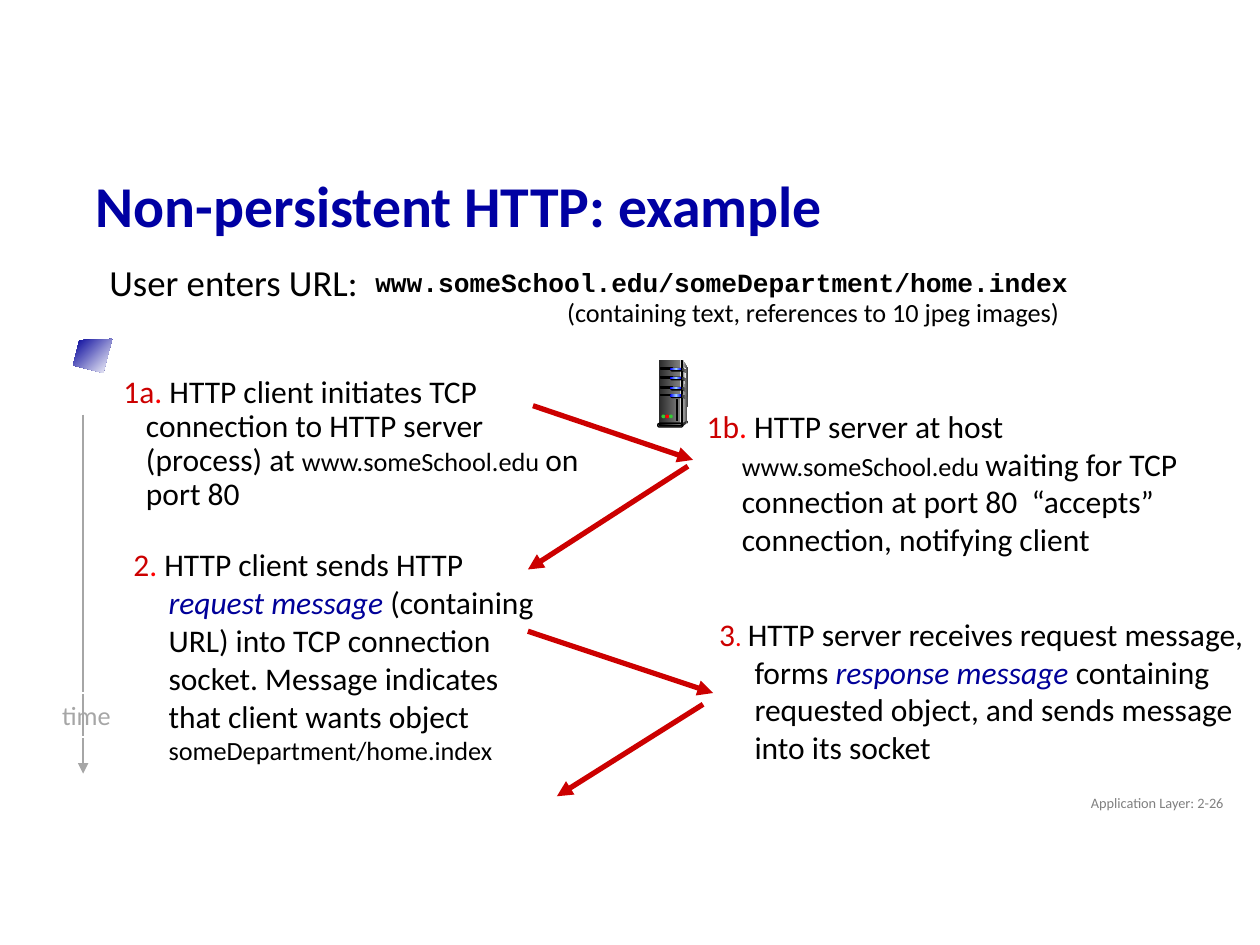
from dataclasses import dataclass
from lxml import etree
from pptx import Presentation, util as u
from pptx.dml.color import RGBColor
from pptx.enum import shapes, text
from pptx.oxml.ns import qn

NAVY = RGBColor(0x00, 0x00, 0xA3)
BLUE = RGBColor(0x00, 0x00, 0x99)
CRIMSON = RGBColor(0xCC, 0x00, 0x00)
RED = RGBColor(0xFF, 0x00, 0x00)
GREEN = RGBColor(0x33, 0xCC, 0x33)
BLACK = RGBColor(0x00, 0x00, 0x00)
WHITE = RGBColor(0xFF, 0xFF, 0xFF)
SILVER = RGBColor(0xA6, 0xA6, 0xA6)
GRAY = RGBColor(0x80, 0x80, 0x80)
COAL = RGBColor(0x29, 0x29, 0x29)
DARK = RGBColor(0x33, 0x33, 0x33)
PALE = RGBColor(0xDD, 0xDD, 0xDD)
SNOW = RGBColor(0xF8, 0xF8, 0xF8)
LAMP = RGBColor(0x00, 0x00, 0xFF)
SKY = RGBColor(0x99, 0xCC, 0xFF)

RECT = shapes.MSO_SHAPE.RECTANGLE
PILL = shapes.MSO_SHAPE.ROUNDED_RECTANGLE
DOT = shapes.MSO_SHAPE.OVAL
LEFT, MID, RIGHT = text.PP_ALIGN.LEFT, text.PP_ALIGN.CENTER, text.PP_ALIGN.RIGHT


@dataclass
class Span:
    words: str
    color: RGBColor | None = None
    size: float | None = None
    italic: bool | None = None


@dataclass
class Label:
    box: tuple
    spans: list[Span]
    size: float = 18
    color: RGBColor = BLACK
    font: str = "Calibri"
    bold: bool = False
    align: text.PP_ALIGN = LEFT
    margin: float = 0
    indent: float = 0
    lead: float | None = None
    middle: bool = False
    wrap: bool = True


@dataclass
class Arrow:
    start: tuple
    end: tuple
    color: RGBColor = CRIMSON
    width: float = 3


def write(shape, label: Label) -> None:
    frame = shape.text_frame
    frame.auto_size = text.MSO_AUTO_SIZE.NONE
    frame.word_wrap = label.wrap
    frame.vertical_anchor = text.MSO_ANCHOR.MIDDLE if label.middle else text.MSO_ANCHOR.TOP
    para = frame.paragraphs[0]
    para.alignment = label.align
    if label.lead:
        para.line_spacing = label.lead
    props = para._p.get_or_add_pPr()
    props.set("marL", str(u.Inches(label.margin)))
    props.set("indent", str(u.Inches(label.indent)))
    font = para.font
    font.name, font.size, font.bold = label.font, u.Pt(label.size), label.bold
    font.color.rgb = label.color
    for span in label.spans:
        run = para.add_run()
        run.text = span.words
        if span.color is not None:
            run.font.color.rgb = span.color
        if span.size:
            run.font.size = u.Pt(span.size)
        if span.italic:
            run.font.italic = True


def place(slide, label: Label) -> None:
    write(slide.shapes.add_textbox(*map(u.Inches, label.box)), label)


def point(slide, arrow: Arrow) -> None:
    ends = map(u.Inches, arrow.start + arrow.end)
    line = slide.shapes.add_connector(shapes.MSO_CONNECTOR.STRAIGHT, *ends)
    line.line.color.rgb = arrow.color
    line.line.width = u.Pt(arrow.width)
    props = line._element.spPr
    etree.SubElement(props.find(qn("a:ln")), qn("a:tailEnd"), type="triangle")
    etree.SubElement(props, qn("a:effectLst"))


def paint(shape, colors: list[RGBColor], edge: RGBColor | None = None, angle: float = 0) -> None:
    shape.shadow.inherit = False
    if not colors:
        shape.fill.background()
    elif len(colors) == 1:
        shape.fill.solid()
        shape.fill.fore_color.rgb = colors[0]
    else:
        shape.fill.gradient()
        shape.fill.gradient_angle = angle
        stops = shape._element.spPr.find(qn("a:gradFill")).find(qn("a:gsLst"))
        for stop in list(stops):
            stops.remove(stop)
        for i, color in enumerate(colors):
            stop = etree.SubElement(stops, qn("a:gs"), pos=str(100000 * i // (len(colors) - 1)))
            etree.SubElement(stop, qn("a:srgbClr"), val=str(color))
    if edge is None:
        shape.line.fill.background()
    else:
        shape.line.color.rgb = edge
        shape.line.width = u.Pt(0.75)


def block(pool, kind, box: tuple, colors: list[RGBColor], edge: RGBColor | None = None):
    shape = pool.add_shape(kind, *map(u.Inches, box))
    if kind == PILL:
        shape.adjustments[0] = 0.5
    paint(shape, colors, edge)
    return shape


def facet(pool, points: list[tuple], colors: list[RGBColor], angle: float = 0) -> None:
    spots = [(u.Inches(x), u.Inches(y)) for x, y in points]
    pen = pool.build_freeform(*spots[0])
    pen.add_line_segments(spots[1:], close=True)
    paint(pen.convert_to_shape(), colors, angle=angle)


def server(slide) -> None:
    pool = slide.shapes.add_group_shape().shapes
    facet(pool, [(5.42, 2.86), (5.46, 2.93), (5.45, 3.34), (5.41, 3.36)], [PALE, DARK])
    block(pool, RECT, (5.23, 2.86, 0.17, 0.5), [COAL, GRAY])
    facet(pool, [(5.42, 2.89), (5.44, 2.93), (5.42, 3.35)], [GRAY, SNOW])
    rows = [2.92, 2.99, 3.07, 3.13]
    for y in rows:
        block(pool, RECT, (5.24, y, 0.1, 0.01), [BLACK], BLACK)
        block(pool, PILL, (5.32, y, 0.1, 0.03), [BLACK])
        block(pool, PILL, (5.32, y, 0.09, 0.02), [LAMP, SKY, LAMP])
    block(pool, RECT, (5.41, 2.86, 0.01, 0.5), [DARK, PALE, DARK], BLACK)
    for y in rows:
        facet(pool, [(5.41, y), (5.45, y + 0.02), (5.45, y + 0.04), (5.41, y + 0.02)], [COAL, GRAY])
    block(pool, DOT, (5.45, 3.34, 0.01, 0.02), [DARK])
    facet(pool, [(5.41, 3.36), (5.41, 3.39), (5.45, 3.36), (5.45, 3.34)], [DARK])
    block(pool, PILL, (5.22, 3.36, 0.2, 0.03), [PALE], BLACK)
    block(pool, PILL, (5.23, 3.36, 0.18, 0.02), [BLACK, GRAY], BLACK)
    for i, color in enumerate([GREEN, RED, GREEN]):
        block(pool, DOT, (5.25 + 0.03 * i, 3.29, 0.03, 0.03), [color])
    block(pool, RECT, (5.37, 3.17, 0.01, 0.17), [COAL], BLACK)


TITLE = Label((0.66, 1.29, 8.62, 0.73), [Span("Non-persistent HTTP: example")],
              33, NAVY, bold=True, lead=0.9, middle=True)
TIME = Label((0.39, 5.5, 0.59, 0.35), [Span("time")], 15, SILVER, align=MID, wrap=False)
STEP = dict(margin=0.28, indent=-0.28)
HANG = dict(margin=0.29, indent=-0.18, lead=0.9)
LABELS = [
    Label((0.66, 2.05, 6.51, 0.38), [Span("User enters URL:")], 21, **HANG),
    Label((0.77, 2.94, 3.98, 1.56), [
        Span("1a", CRIMSON), Span(".", RED),
        Span(" HTTP client initiates TCP connection to HTTP server (process) at "),
        Span("www.someSchool.edu ", size=15), Span("on port 80")], **HANG),
    Label((0.96, 4.28, 3.46, 0.88), [
        Span("2", CRIMSON), Span(".", RED), Span(" HTTP client sends HTTP "),
        Span("request message", BLUE, italic=True),
        Span(" (containing URL) into TCP connection socket. "
             "Message indicates that client wants object "),
        Span("someDepartment/home.index", size=15)], **STEP),
    Label((5.51, 3.18, 4.42, 1.23), [
        Span("1b", CRIMSON), Span(".", RED), Span(" HTTP server at host "),
        Span("www.someSchool.edu ", size=15),
        Span("waiting for TCP connection at port 80  “accepts” connection, notifying client")], **STEP),
    Label((5.61, 4.83, 4.42, 1.48), [
        Span("3", CRIMSON), Span(". ", RED, 15),
        Span("HTTP server receives request message, forms "),
        Span("response message", BLUE, italic=True),
        Span(" containing requested object, and sends message into its socket")], **STEP),
    Label((3.84, 2.3, 5.23, 0.35), [Span("(containing text, references to 10 jpeg images)")],
          15, align=MID),
    Label((2.88, 2.1, 6.51, 0.38), [Span("www.someSchool.edu/someDepartment/home.index")],
          15, font="Courier New", bold=True, lead=0.85, **STEP),
    Label((7.56, 6.22, 2.25, 0.3), [Span("Application Layer: 2-26")],
          8.2, GRAY, align=RIGHT, middle=True),
]
ARROWS = [
    Arrow((4.23, 3.22), (5.5, 3.65)),
    Arrow((5.46, 3.7), (4.19, 4.52)),
    Arrow((4.19, 5.01), (5.66, 5.5)),
    Arrow((5.58, 5.59), (4.42, 6.32)),
]


def main() -> None:
    deck = Presentation()
    deck.slide_width, deck.slide_height = u.Inches(10), u.Inches(7.5)
    slide = deck.slides.add_slide(deck.slide_layouts[5])
    title = slide.shapes.title
    title.left, title.top, title.width, title.height = map(u.Inches, TITLE.box)
    write(title, TITLE)
    point(slide, Arrow((0.66, 3.29), (0.66, 6.14), SILVER, 1.5))
    write(block(slide.shapes, RECT, TIME.box, [], WHITE), TIME)
    for label in LABELS:
        place(slide, label)
    for arrow in ARROWS:
        point(slide, arrow)
    facet(slide.shapes, [(0.89, 2.69), (0.63, 2.7), (0.58, 2.9), (0.82, 2.96)], [BLUE, WHITE], 315)
    server(slide)
    deck.save("out.pptx")


if __name__ == "__main__":
    main()
